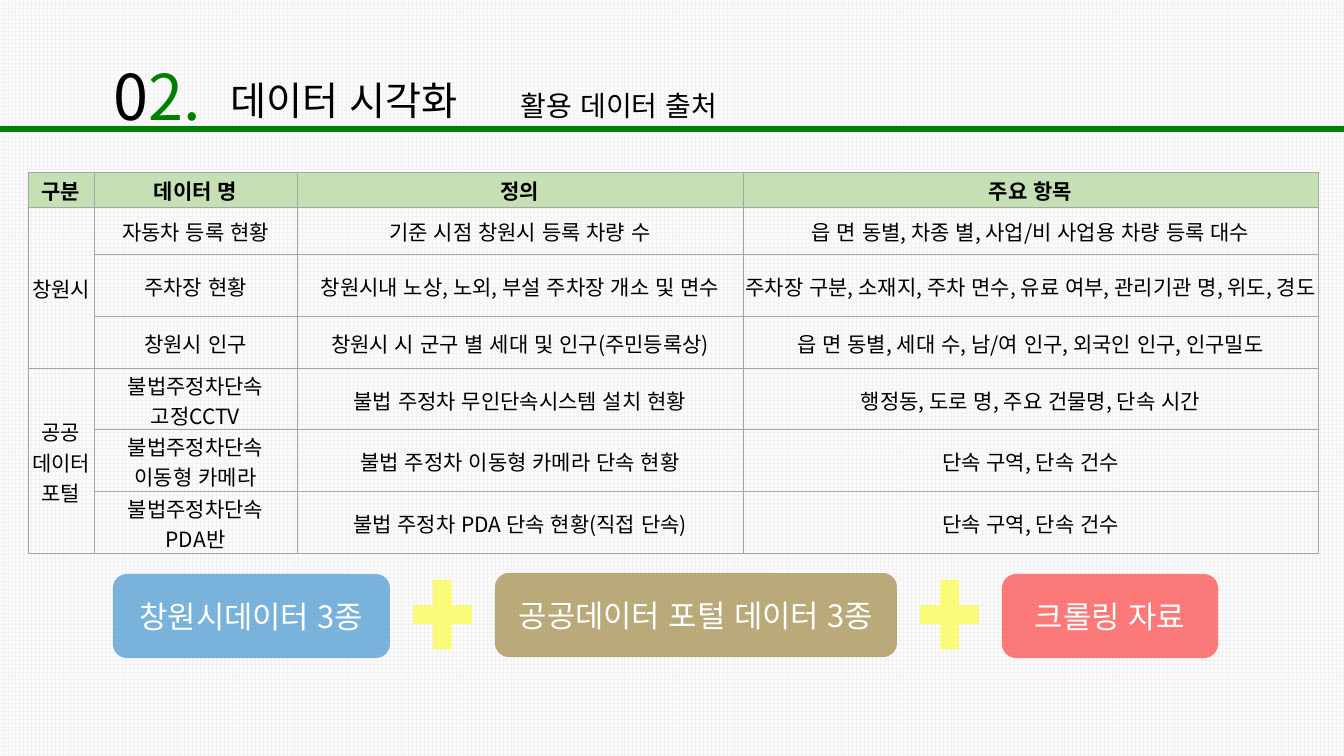
from pptx import Presentation
from pptx.dml.color import RGBColor
from pptx.enum.dml import MSO_PATTERN
from pptx.enum.lang import MSO_LANGUAGE_ID
from pptx.enum.shapes import MSO_CONNECTOR, MSO_SHAPE
from pptx.enum.text import MSO_ANCHOR, MSO_AUTO_SIZE, PP_ALIGN
from pptx.oxml.ns import qn
from pptx.util import Pt
from lxml.etree import SubElement

# Content
TITLE = "데이터 시각화"
SUBTITLE = "활용 데이터 출처"
HEADER = ["구분", "데이터 명", "정의", "주요 항목"]
GROUPS = [
    ("창원시", [
        ("자동차 등록 현황", "기준 시점 창원시 등록 차량 수",
         "읍 면 동별, 차종 별, 사업/비 사업용 차량 등록 대수"),
        ("주차장 현황", "창원시내 노상, 노외, 부설 주차장 개소 및 면수",
         "주차장 구분, 소재지, 주차 면수, 유료 여부, 관리기관 명, 위도, 경도"),
        ("창원시 인구", "창원시 시 군구 별 세대 및 인구(주민등록상)",
         "읍 면 동별, 세대 수, 남/여 인구, 외국인 인구, 인구밀도"),
    ]),
    ("공공\n데이터\n포털", [
        ("불법주정차단속\n고정CCTV", "불법 주정차 무인단속시스템 설치 현황",
         "행정동, 도로 명, 주요 건물명, 단속 시간"),
        ("불법주정차단속\n이동형 카메라", "불법 주정차 이동형 카메라 단속 현황",
         "단속 구역, 단속 건수"),
        ("불법주정차단속\nPDA반", "불법 주정차 PDA 단속 현황(직접 단속)",
         "단속 구역, 단속 건수"),
    ]),
]
COL_WIDTHS = [66, 203, 446, 575]
ROW_HEIGHTS = [35, 48, 62, 52, 61, 62, 62]
# text, left, top, width, colour
SOURCES = [
    ("창원시데이터 3종", 113, 574, 277, "blue"),
    ("공공데이터 포털 데이터 3종", 495, 573, 402, "brown"),
    ("크롤링 자료", 1002, 574, 216, "red"),
]

# Theme
THEME = {
    "font": "Noto Sans CJK KR",
    "black": "000000", "white": "FFFFFF", "green": "008000",
    "grid": "F2F2F2", "paper": "FBFBFB", "header": "C5E0B4", "border": "A6A6A6",
    "blue": "0070C0", "brown": "806000", "red": "FF0000", "yellow": "FFFF00",
    "number": 45, "title": 28, "subtitle": 20, "source": 22, "table": 15,
}
SLIDE_W, SLIDE_H = 1344, 756
SCALE = 914400 / 100.8


def px(*lengths):
    return [round(n * SCALE) for n in lengths]


def color(name):
    return RGBColor.from_string(THEME[name])


def write(tf, text, size, fill="black", bold=False, align=PP_ALIGN.CENTER, spacing=None):
    """Fill a text frame; text is a string or a list of (text, colour) runs."""
    lines = [[(t, fill)] for t in text.split("\n")] if isinstance(text, str) else [text]
    for i, runs in enumerate(lines):
        p = tf.add_paragraph() if i else tf.paragraphs[0]
        p.alignment = align
        if spacing:
            p.line_spacing = spacing
        for run_text, run_fill in runs:
            r = p.add_run()
            r.text = run_text
            r.font.size, r.font.bold = Pt(THEME[size]), bold
            r.font.language_id = MSO_LANGUAGE_ID.KOREAN
            r.font.color.rgb = color(run_fill)
            r.font.name = THEME["font"]
            SubElement(r.font._element, qn("a:ea"), typeface=THEME["font"])


def add_block(kind, box, fill, alpha):
    sp = s.shapes.add_shape(kind, *px(*box))
    sp.shadow.inherit = False
    sp.line.fill.background()
    sp.fill.solid()
    sp.fill.fore_color.rgb = color(fill)
    srgb = sp.element.spPr.find(".//" + qn("a:srgbClr"))
    SubElement(srgb, qn("a:alpha"), val=str(alpha * 1000))
    return sp


def style_frame(sp):
    tf = sp.text_frame
    tf.word_wrap = True
    tf.auto_size = MSO_AUTO_SIZE.SHAPE_TO_FIT_TEXT
    tf.vertical_anchor = MSO_ANCHOR.TOP
    return tf


def fill_cell(cell, text, header=False):
    cell.margin_left, cell.margin_top, cell.margin_right, cell.margin_bottom = px(1, 1, 1, 0)
    cell.vertical_anchor = MSO_ANCHOR.MIDDLE
    write(cell.text_frame, text, "table", bold=header)


def style_cell(cell, header):
    tcPr = cell._tc.get_or_add_tcPr()
    for side in ("lnL", "lnR", "lnT", "lnB"):
        ln = SubElement(tcPr, qn("a:" + side), w=str(Pt(0.75)))
        solid = SubElement(ln, qn("a:solidFill"))
        SubElement(solid, qn("a:srgbClr"), val=THEME["border"])
    if header:
        cell.fill.solid()
        cell.fill.fore_color.rgb = color("header")
    else:
        cell.fill.background()


prs = Presentation()
prs.slide_width, prs.slide_height = px(SLIDE_W, SLIDE_H)
s = prs.slides.add_slide(prs.slide_layouts[5])
title = s.shapes.title

# Grid paper, behind everything
paper = s.shapes.add_shape(MSO_SHAPE.RECTANGLE, *px(0, 0, SLIDE_W, SLIDE_H))
paper.shadow.inherit = False
paper.line.fill.background()
paper.fill.patterned()
paper.fill.pattern = MSO_PATTERN.LARGE_GRID
paper.fill.fore_color.rgb = color("grid")
paper.fill.back_color.rgb = color("paper")
title.element.addprevious(paper.element)

# Table of data sources
table = s.shapes.add_table(len(ROW_HEIGHTS), len(COL_WIDTHS),
                           *px(28, 172, sum(COL_WIDTHS), sum(ROW_HEIGHTS))).table
table.first_row = table.horz_banding = False
for col, width in zip(table.columns, px(*COL_WIDTHS)):
    col.width = width
for row, height in zip(table.rows, px(*ROW_HEIGHTS)):
    row.height = height
for c, text in enumerate(HEADER):
    fill_cell(table.cell(0, c), text, header=True)
top = 1
for group, rows in GROUPS:
    fill_cell(table.cell(top, 0), group)
    table.cell(top, 0).merge(table.cell(top + len(rows) - 1, 0))
    for r, texts in enumerate(rows, top):
        for c, text in enumerate(texts, 1):
            fill_cell(table.cell(r, c), text)
    top += len(rows)
for r in range(len(ROW_HEIGHTS)):
    for c in range(len(COL_WIDTHS)):
        style_cell(table.cell(r, c), header=r == 0)

# Sources joined by plus signs
for text, left, top, width, fill in SOURCES:
    sp = add_block(MSO_SHAPE.ROUNDED_RECTANGLE, (left, top, width, 84), fill, 51)
    sp.text_frame.word_wrap = True
    sp.text_frame.vertical_anchor = MSO_ANCHOR.MIDDLE
    write(sp.text_frame, text, "source", fill="white")
for (_, left, _, width, _), (_, following, _, _, _) in zip(SOURCES, SOURCES[1:]):
    middle = (left + width + following) / 2
    add_block(MSO_SHAPE.MATH_PLUS, (middle - 40, 567, 80, 95), "yellow", 50)

# Heading
title.left, title.top, title.width, title.height = px(220, 71, 317, 57)
write(style_frame(title), TITLE, "title", align=PP_ALIGN.LEFT)
subtitle = s.shapes.add_textbox(*px(511, 67, 775, 56))
write(style_frame(subtitle), SUBTITLE, "subtitle", align=PP_ALIGN.LEFT, spacing=1.5)
number = s.shapes.add_textbox(*px(94, 53, 126, 87))
write(style_frame(number), [("0", "black"), ("2.", "green")], "number")

# Rule under the heading
rule = s.shapes.add_connector(MSO_CONNECTOR.STRAIGHT, *px(0, 129, SLIDE_W, 129))
rule.line.color.rgb = color("green")
rule.line.width = Pt(4)
SubElement(rule.element.spPr, qn("a:effectLst"))

prs.save("out.pptx")
